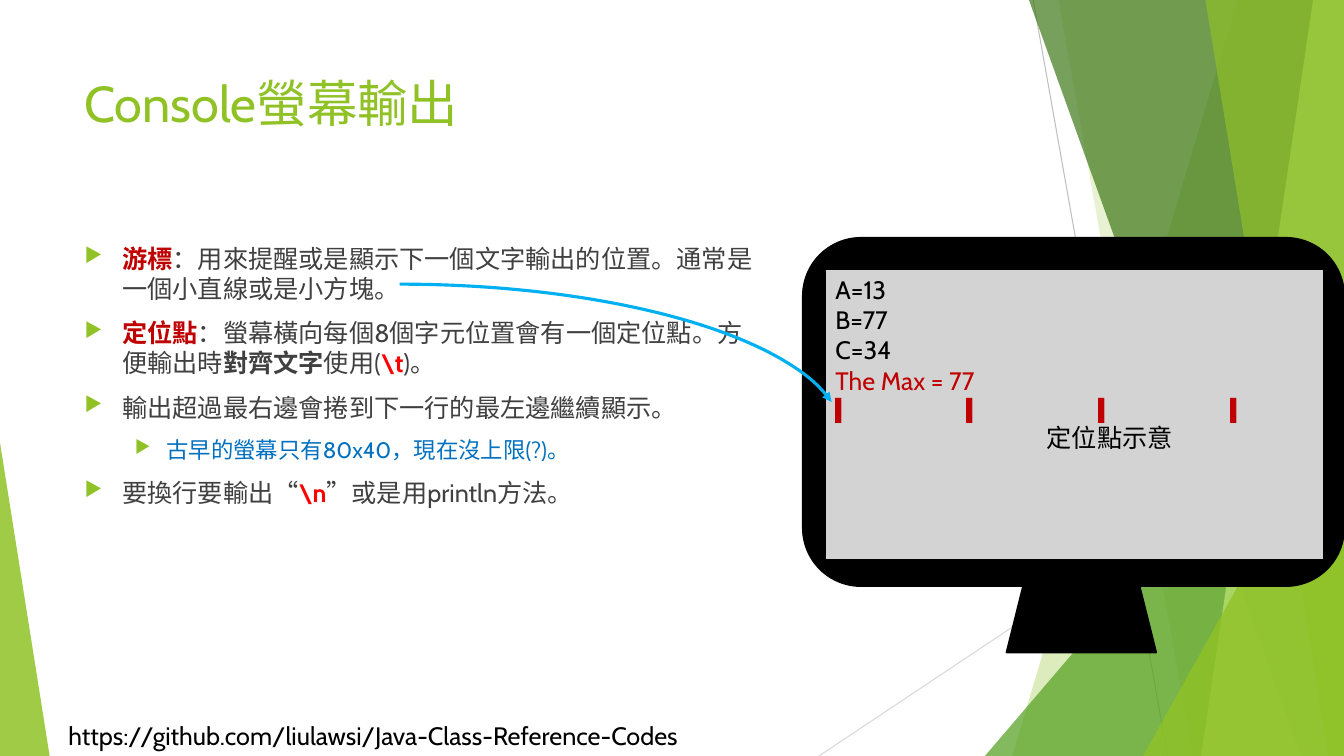
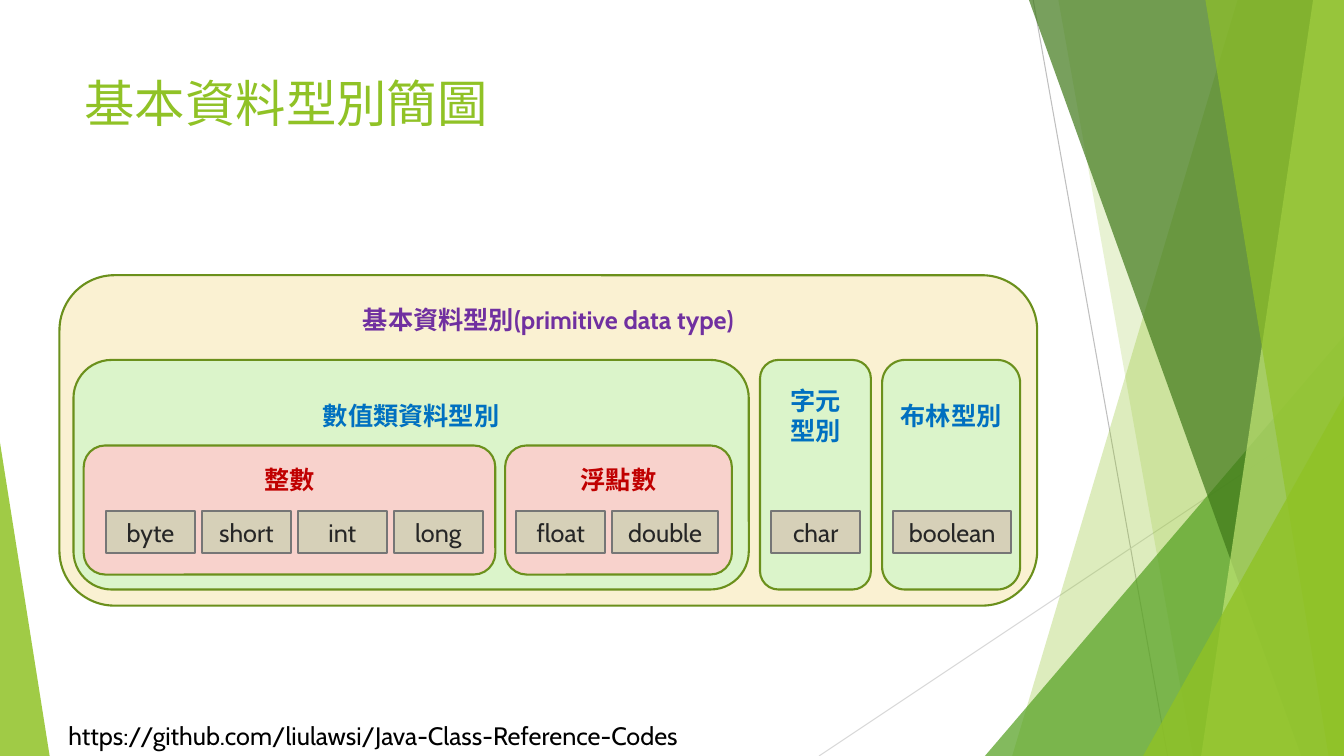
from lxml import etree
from pptx import Presentation
from pptx.dml.color import RGBColor
from pptx.enum.shapes import MSO_CONNECTOR, MSO_SHAPE
from pptx.enum.text import MSO_ANCHOR, PP_ALIGN
from pptx.oxml.ns import qn
from pptx.util import Pt

RECTANGLE = MSO_SHAPE.RECTANGLE
ROUNDED = MSO_SHAPE.ROUNDED_RECTANGLE
TRIANGLE = MSO_SHAPE.RIGHT_TRIANGLE
ISOSCELES = MSO_SHAPE.ISOSCELES_TRIANGLE
TRAPEZOID = MSO_SHAPE.TRAPEZOID
ARC = MSO_SHAPE.ARC
STRAIGHT = MSO_CONNECTOR.STRAIGHT
TOP, MIDDLE = MSO_ANCHOR.TOP, MSO_ANCHOR.MIDDLE
LEFT, CENTER = PP_ALIGN.LEFT, PP_ALIGN.CENTER

WIDTH, HEIGHT = 960, 540
LATIN_FONT, CJK_FONT = "Cabin", "Noto Sans CJK TC"

BLACK = RGBColor(0x00, 0x00, 0x00)
LIME = RGBColor(0x90, 0xC2, 0x26)
GREEN = RGBColor(0x54, 0xA0, 0x21)
FOREST = RGBColor(0x3F, 0x78, 0x19)
PALE_LIME = RGBColor(0xC0, 0xE4, 0x74)
OLIVE = RGBColor(0x6B, 0x90, 0x1C)
SILVER = RGBColor(0xBF, 0xBF, 0xBF)
MIST = RGBColor(0xD9, 0xD9, 0xD9)
SCREEN_GRAY = RGBColor(0xD3, 0xD3, 0xD3)
BODY_GRAY = RGBColor(0x40, 0x40, 0x40)
CELL_TEXT = RGBColor(0x26, 0x26, 0x26)
CELL_LINE = RGBColor(0x76, 0x76, 0x76)
CELL_FILL = RGBColor(0xD6, 0xD0, 0xB8)
CREAM = RGBColor(0xFA, 0xF1, 0xD2)
MINT = RGBColor(0xDB, 0xF4, 0xCA)
ROSE = RGBColor(0xF8, 0xD2, 0xCC)
DARK_RED = RGBColor(0xC0, 0x00, 0x00)
RED = RGBColor(0xFF, 0x00, 0x00)
BLUE = RGBColor(0x00, 0x70, 0xC0)
SKY = RGBColor(0x00, 0xB0, 0xF0)
PURPLE = RGBColor(0x70, 0x30, 0xA0)

BULLETS = [
    (0, [("游標", DARK_RED, True),
         ("：用來提醒或是顯示下一個文字輸出的位置。通常是一個小直線或是小方塊。", BODY_GRAY, False)]),
    (0, [("定位點", DARK_RED, True),
         ("：螢幕橫向每個8個字元位置會有一個定位點。方便輸出時", BODY_GRAY, False),
         ("對齊文字", BODY_GRAY, True), ("使用(", BODY_GRAY, False),
         ("\\t", RED, True), (")。", BODY_GRAY, False)]),
    (0, [("輸出超過最右邊會捲到下一行的最左邊繼續顯示。", BODY_GRAY, False)]),
    (1, [("古早的螢幕只有80x40，現在沒上限(?)。", BLUE, False)]),
    (0, [("要換行要輸出“", BODY_GRAY, False), ("\\n", RED, True),
         ("”或是用println方法。", BODY_GRAY, False)]),
]
LEVELS = [(27, 27, 18), (58.5, 22.5, 16)]

CATEGORIES = [
    ("數值類資料型別", 482.4, 28.5),
    ("字元\n型別", 79.2, 18),
    ("布林型別", 98.6, 28.5),
]
KINDS = [("整數", 294), ("浮點數", 162)]
INTEGERS = [("byte", 63.5), ("short", 63.5), ("int", 63.5), ("long", 63.5)]
FLOATS = [("float", 63.5), ("double", 75.6)]
CHARACTERS = [("char", 63.5)]
BOOLEANS = [("boolean", 84.2)]


def add_child(parent, tag, **attributes):
    return etree.SubElement(parent, qn(tag), **attributes)


def style_span(span, color, size, bold=False, latin=LATIN_FONT):
    span.font.name = latin
    span.font.size = Pt(size)
    span.font.bold = bold
    span.font.color.rgb = color
    east_asian = etree.Element(qn("a:ea"), typeface=CJK_FONT)
    span.font._element.find(qn("a:latin")).addnext(east_asian)


def write(shape, text, color, size=18, bold=False, align=LEFT, anchor=TOP):
    frame = shape.text_frame
    frame.word_wrap = True
    frame.vertical_anchor = anchor
    frame.text = text
    for para in frame.paragraphs:
        para.alignment = align
        for span in para.runs:
            style_span(span, color, size, bold)


def add_text(page, box, text, color, size=18):
    shape = page.shapes.add_textbox(*map(Pt, box))
    write(shape, text, color, size)


def add_block(page, preset, box, fill, line=None):
    shape = page.shapes.add_shape(preset, *map(Pt, box))
    shape.shadow.inherit = False
    paint(shape, fill)
    if line is not None:
        shape.line.color.rgb = line
        shape.line.width = Pt(1.5)
    return shape


def paint(shape, color, opacity=100):
    shape.fill.solid()
    shape.fill.fore_color.rgb = color
    shape.line.fill.background()
    if opacity < 100:
        swatch = shape._element.spPr.find(qn("a:solidFill"))[0]
        add_child(swatch, "a:alpha", val=str(opacity * 1000))


def add_ray(page, start, end, color):
    ray = page.shapes.add_connector(STRAIGHT, *map(Pt, start + end))
    ray.line.color.rgb = color
    ray.line.width = Pt(0.75)
    add_child(ray._element.spPr, "a:effectLst")


def add_panel(page, top_x, bottom_x, color, opacity):
    builder = page.shapes.build_freeform(Pt(top_x), 0)
    corners = [(WIDTH, 0), (WIDTH, HEIGHT), (bottom_x, HEIGHT)]
    builder.add_line_segments([(Pt(x), Pt(y)) for x, y in corners])
    panel = builder.convert_to_shape()
    panel.shadow.inherit = False
    paint(panel, color, opacity)


def add_wedge(page, box, apex, color, opacity):
    wedge = add_block(page, ISOSCELES, box, color)
    wedge.adjustments[0] = apex
    paint(wedge, color, opacity)


def add_page(deck, title):
    page = deck.slides.add_slide(deck.slide_layouts[6])
    add_ray(page, (738, 0), (834, HEIGHT), SILVER)
    add_ray(page, (WIDTH, 290), (585, HEIGHT), MIST)
    add_panel(page, 884, 723, LIME, 30)
    add_panel(page, 756, 852, LIME, 20)
    add_wedge(page, (703.5, 240, 256.5, 300), 1, GREEN, 72)
    add_panel(page, 735, 929.5, FOREST, 70)
    add_panel(page, 938, 858, PALE_LIME, 70)
    add_panel(page, 861, 949, LIME, 65)
    add_wedge(page, (816.5, 283, 143.5, 257), 1, LIME, 80)
    add_wedge(page, (0, 316, 35.5, 224), 0, LIME, 85)
    add_text(page, (41.8, 511, 482, 29),
             "https://github.com/liulawsi/Java-Class-Reference-Codes", BLACK)
    add_text(page, (53.3, 48, 677, 104), title, LIME, 36)
    return page


def add_bullets(page, box):
    frame = page.shapes.add_textbox(*map(Pt, box)).text_frame
    frame.word_wrap = True
    for index, (level, spans) in enumerate(BULLETS):
        para = frame.paragraphs[0] if index == 0 else frame.add_paragraph()
        indent, hanging, size = LEVELS[level]
        para.level = level
        if index:
            para.space_before = Pt(10)
        properties = para._p.get_or_add_pPr()
        properties.set("marL", str(Pt(indent)))
        properties.set("indent", str(-Pt(hanging)))
        add_child(add_child(properties, "a:buClr"), "a:srgbClr", val=str(LIME))
        add_child(properties, "a:buSzPct", val="80000")
        add_child(properties, "a:buChar", char="▶")
        for text, color, bold in spans:
            span = para.add_run()
            span.text = text
            style_span(span, color, size, bold)


def add_monitor(page, box):
    left, top, width, height = box
    case_height = height - 47.5
    add_block(page, ROUNDED, (left, top, width, case_height), BLACK, BLACK)
    screen = add_block(page, RECTANGLE, (left + 16, top + 22.3, 356.4, 207.4),
                       SCREEN_GRAY, BLACK)
    write(screen, "A=13\nB=77\nC=34\nThe Max = 77\n▎\t▎\t▎\t▎", BLACK)
    output, ticks = screen.text_frame.paragraphs[-2:]
    tabs = add_child(ticks._p.get_or_add_pPr(), "a:tabLst")
    for stop in range(1, 4):
        add_child(tabs, "a:tab", pos=str(Pt(94 * stop)), algn="l")
    for span in output.runs + ticks.runs:
        span.font.color.rgb = DARK_RED
    for span in ticks.runs:
        span.font.name = CJK_FONT
    add_block(page, TRAPEZOID, (left + 145.5, top + case_height, 106.6, 47.5),
              BLACK, BLACK)
    add_text(page, (left + 167, top + 128, 110, 29), "定位點示意", BLACK)


def add_curve(page, box):
    curve = page.shapes.add_shape(ARC, *map(Pt, box))
    curve.adjustments[0] = 162
    curve.adjustments[1] = 213.18
    curve.shadow.inherit = False
    curve.fill.background()
    curve.line.color.rgb = SKY
    curve.line.width = Pt(2.25)
    add_child(curve.line._get_or_add_ln(), "a:tailEnd", type="triangle")


def add_group(page, box, label, fill, color, text_top):
    group = add_block(page, ROUNDED, box, fill, OLIVE)
    corner_inset = min(box[2:]) / 6 * 0.29
    write(group, label, color, bold=True, align=CENTER)
    group.text_frame.margin_top = Pt(text_top - corner_inset)


def lay_out(items, left, gap):
    placed = []
    for item in items:
        placed.append((left, item))
        left += item[1] + gap
    return placed


def add_cells(page, names, left, top):
    for cell_left, (name, width) in lay_out(names, left, 5):
        cell = add_block(page, RECTANGLE, (cell_left, top, width, 30),
                         CELL_FILL, CELL_LINE)
        write(cell, name, CELL_TEXT, align=CENTER, anchor=MIDDLE)


def add_type_diagram(page, box):
    left, top, width, height = box
    add_group(page, box, "基本資料型別(primitive data type)", CREAM, PURPLE, 21)
    categories = lay_out(CATEGORIES, left + 10, 8)
    for category_left, (label, category_width, text_top) in categories:
        add_group(page, (category_left, top + 60.5, category_width, 164),
                  label, MINT, BLUE, text_top)
    kinds = lay_out(KINDS, left + 17.3, 7)
    for kind_left, (label, kind_width) in kinds:
        add_group(page, (kind_left, top + 121.6, kind_width, 92.2),
                  label, ROSE, DARK_RED, 13.7)
    rows = [(INTEGERS, kinds[0][0] + 16), (FLOATS, kinds[1][0] + 8),
            (CHARACTERS, categories[1][0] + 8), (BOOLEANS, categories[2][0] + 8)]
    for names, row_left in rows:
        add_cells(page, names, row_left, top + 168.5)


def build_console(deck):
    page = add_page(deck, "Console螢幕輸出")
    add_bullets(page, (53.3, 170, 492, 305))
    add_monitor(page, (573.6, 170, 386.4, 296))
    add_curve(page, (-31.7, 203, 634.3, 219))


def build_types(deck):
    page = add_page(deck, "基本資料型別簡圖")
    add_type_diagram(page, (42.5, 196.6, 698.4, 236))


def main():
    deck = Presentation()
    deck.slide_width, deck.slide_height = Pt(WIDTH), Pt(HEIGHT)
    build_console(deck)
    build_types(deck)
    deck.save("out.pptx")


if __name__ == "__main__":
    main()
